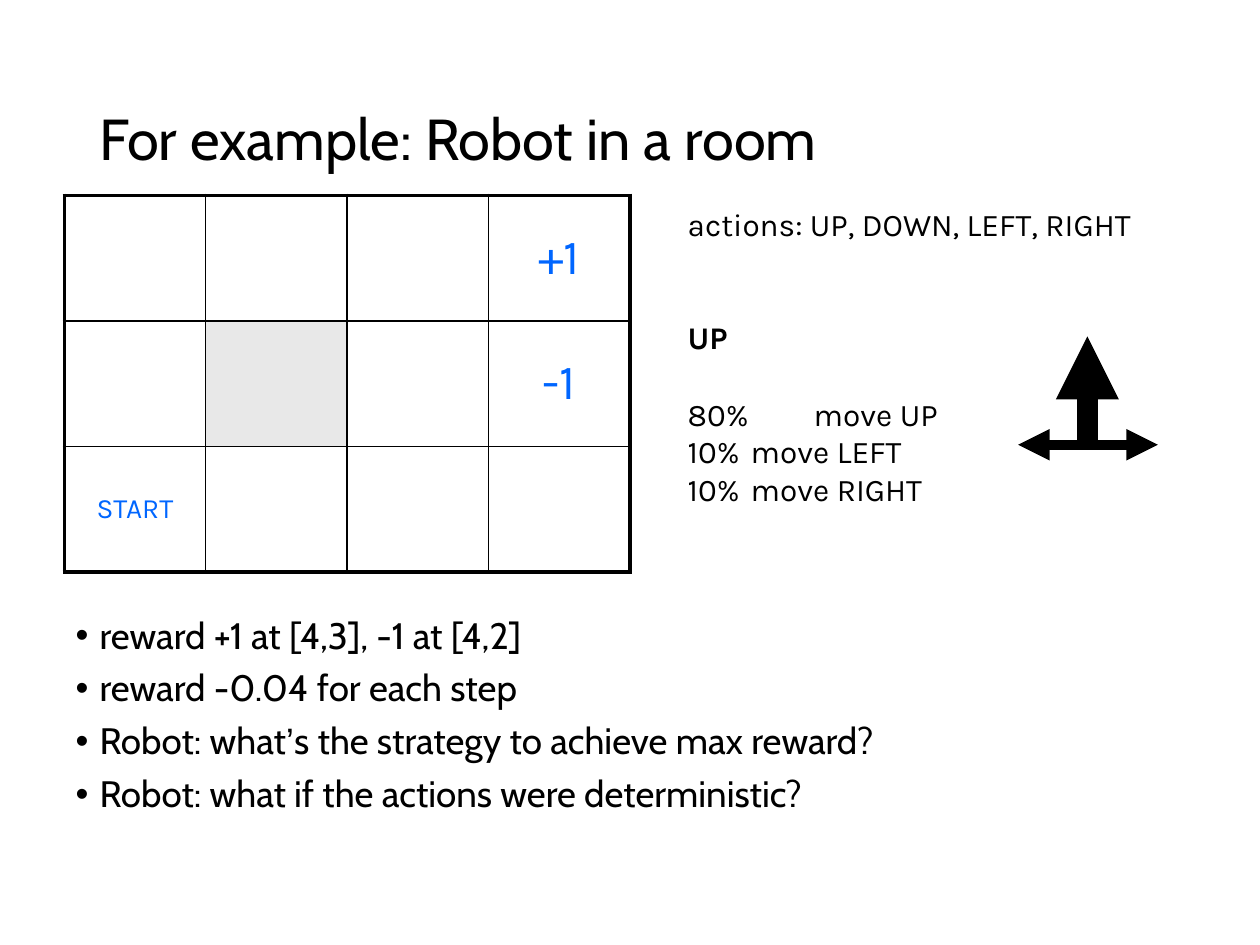
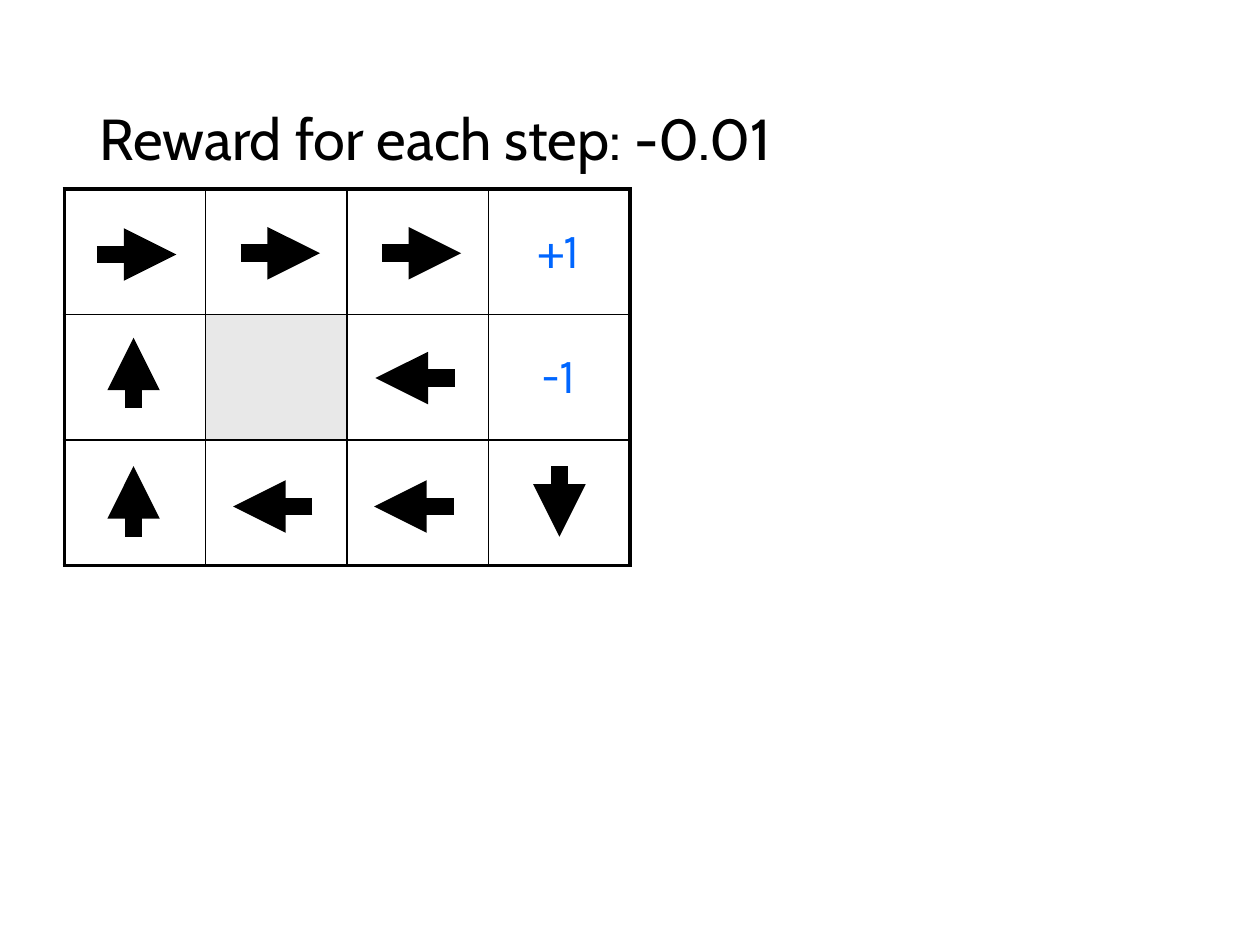
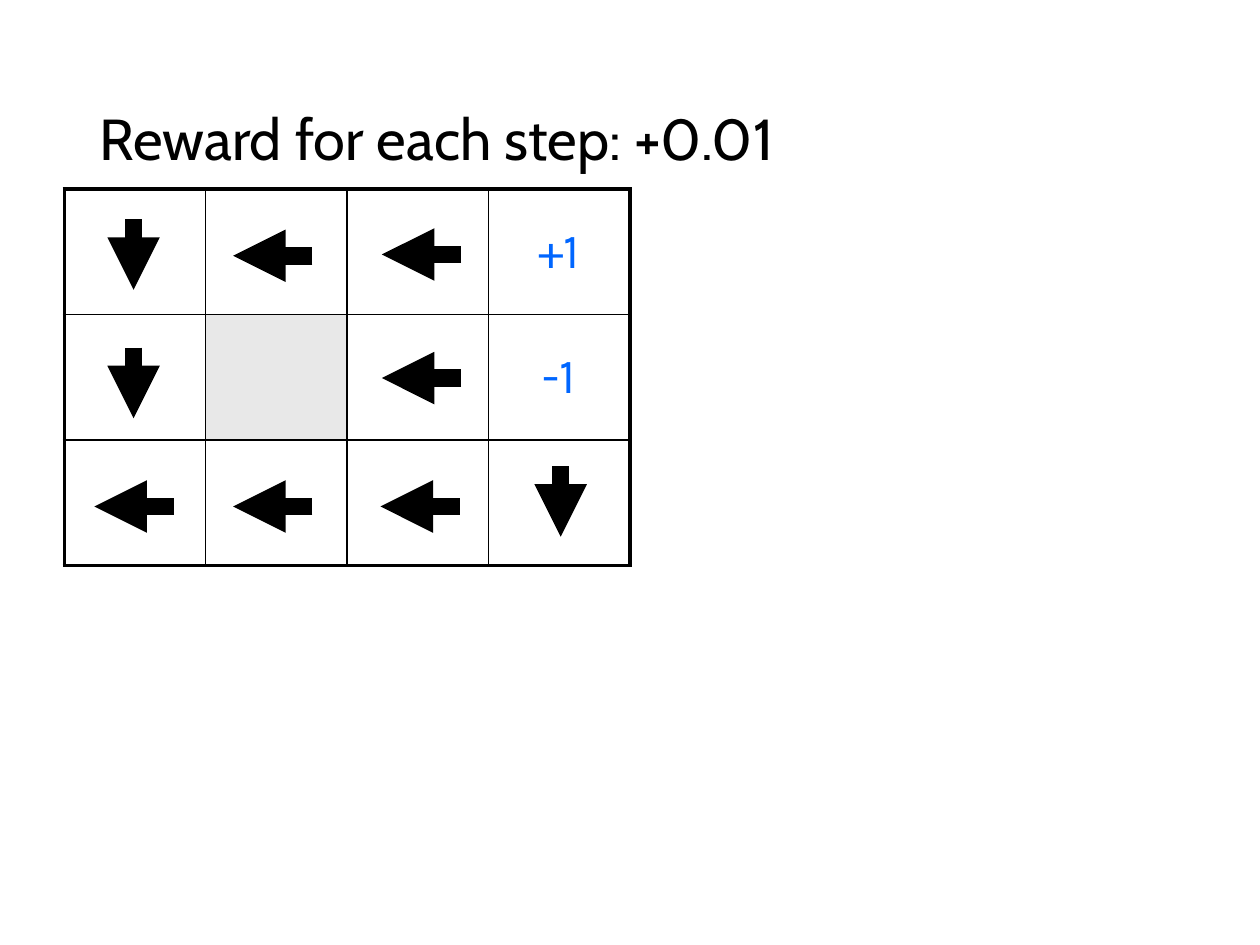
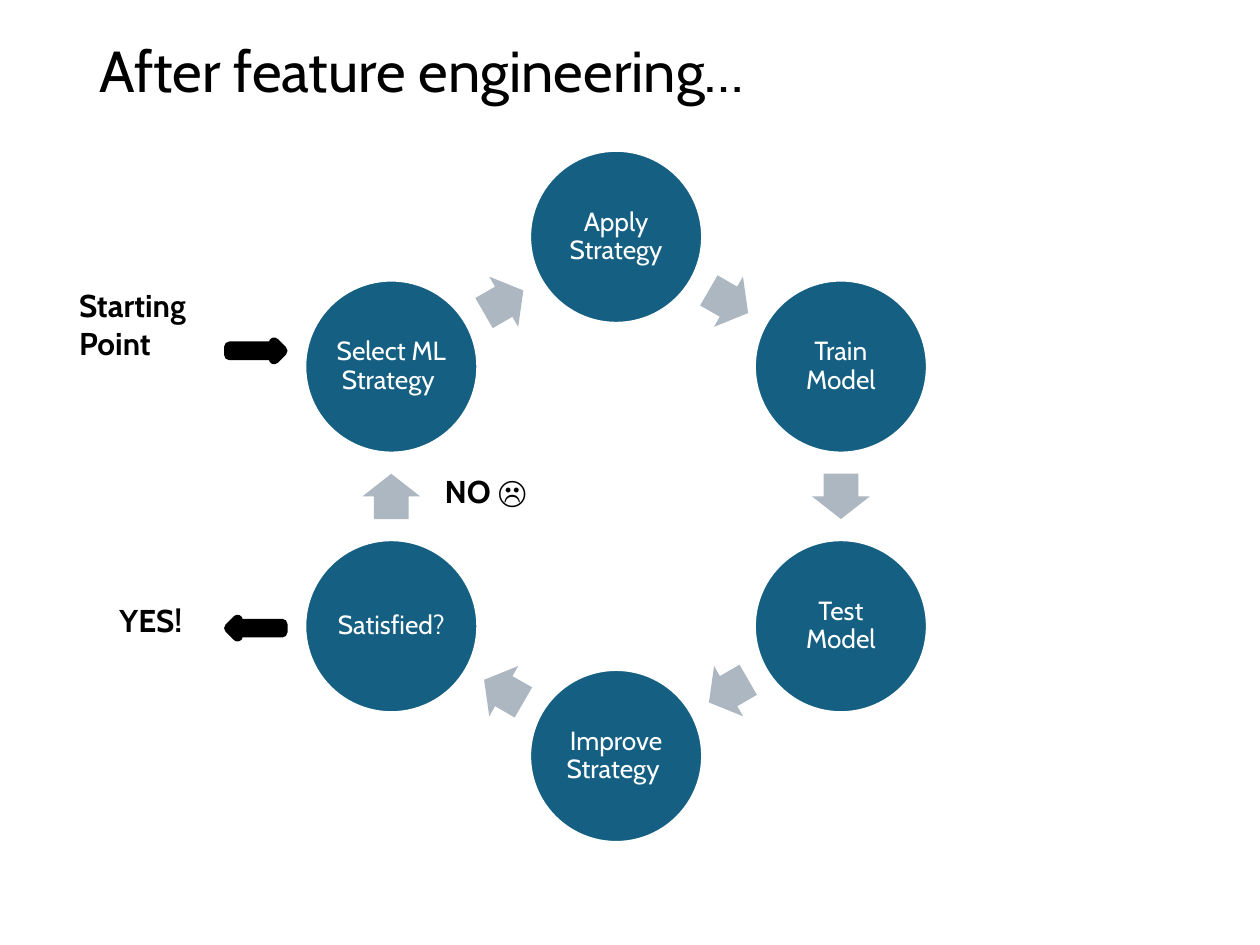
from dataclasses import dataclass
from math import cos, radians, sin

from pptx import Presentation
from pptx.dml.color import RGBColor
from pptx.enum.shapes import MSO_CONNECTOR, MSO_SHAPE
from pptx.enum.text import MSO_ANCHOR, MSO_AUTO_SIZE, PP_ALIGN
from pptx.oxml import parse_xml
from pptx.oxml.ns import nsdecls, qn
from pptx.presentation import Presentation as Deck
from pptx.shapes.shapetree import GroupShapes, SlideShapes
from pptx.slide import Slide
from pptx.table import Table, _Cell
from pptx.text.text import TextFrame, _Paragraph
from pptx.util import Inches, Pt

COLORS = {
    "ink": "000000",
    "paper": "FFFFFF",
    "value": "0066FF",
    "wall": "E8E8E8",
    "step": "156082",
    "flow": "ACB7C1",
}
TITLE_FONT = "Cabin"
NOTE_FONT = "Karla"
TITLE_AND_BODY, TITLE_ONLY = 1, 5

GRID_LEFT, GRID_WIDTH, GRID_HEIGHT = 0.51, 4.49, 2.99
COLUMNS, ROWS = 4, 3
WALL = (1, 1)
THIN, THICK = 1, 2.25
REWARDS = {(0, 3): "+1", (1, 3): "-1"}

MOVES = {
    "right": (0.63, 0),
    "left": (-0.63, 0),
    "up": (0, -0.56),
    "down": (0, 0.56),
}

CYCLE_X, CYCLE_Y, CYCLE_RADIUS = 4.89, 3.94, 2.06
CIRCLE_SIZE = 1.37
FLOW_WIDTH, FLOW_HEIGHT = 0.36, 0.46
STEPS = ["Apply Strategy", "Train Model", "Test Model",
         "Improve Strategy ", "Satisfied?", "Select ML Strategy "]


@dataclass(frozen=True)
class Arrow:
    x: float
    y: float
    dx: float
    dy: float
    weight: float = 10


@dataclass(frozen=True)
class Move:
    x: float
    y: float
    direction: str


@dataclass(frozen=True)
class Policy:
    title: str
    moves: list[Move]


@dataclass(frozen=True)
class Label:
    text: str
    left: float
    top: float
    width: float
    height: float


@dataclass(frozen=True)
class Note:
    text: str
    space_before: float = 0
    bold: bool = False


ROBOT_ARROWS = [
    Arrow(8.63, 3.53, 0, -0.86, 12),
    Arrow(8.63, 3.53, 0.56, 0, 6),
    Arrow(8.71, 3.53, -0.63, 0, 6),
]
ACTION_NOTES = [
    Note("actions: UP, DOWN, LEFT, RIGHT"),
    Note("UP", 43, True),
    Note("80% \tmove UP", 22),
    Note("10%\tmove LEFT"),
    Note("10%\tmove RIGHT"),
]
QUESTIONS = [
    [("reward +1 at [4,3], -1 at [4,2]", TITLE_FONT)],
    [("reward -0.04 for each step", TITLE_FONT)],
    [("Robot: what", TITLE_FONT), ("’", "Arial"),
     ("s the strategy to achieve max reward?", TITLE_FONT)],
    [("Robot: what if the actions were deterministic?", TITLE_FONT)],
]
POLICIES = [
    Policy("Reward for each step: -0.01", [
        Move(0.77, 2.02, "right"), Move(1.91, 2.01, "right"), Move(3.03, 2.01, "right"),
        Move(1.06, 3.24, "up"), Move(3.61, 3, "left"),
        Move(1.06, 4.26, "up"), Move(2.48, 4.02, "left"), Move(3.6, 4.02, "left"),
        Move(4.44, 3.7, "down"),
    ]),
    Policy("Reward for each step: +0.01", [
        Move(1.06, 1.74, "down"), Move(2.48, 2.03, "left"), Move(3.66, 2.02, "left"),
        Move(1.06, 2.76, "down"), Move(3.66, 3, "left"),
        Move(1.38, 4.02, "left"), Move(2.48, 4.02, "left"), Move(3.65, 4.02, "left"),
        Move(4.45, 3.7, "down"),
    ]),
]
CYCLE_LABELS = [
    Label("YES!", 0.85, 4.72, 0.97, 0.5),
    Label("NO ☹", 3.43, 3.7, 1.07, 0.5),
    Label("Starting Point", 0.53, 2.22, 1.43, 0.91),
]


def color(name: str) -> RGBColor:
    return RGBColor.from_string(COLORS[name])


def add_run(paragraph: _Paragraph, text: str, size: float, font: str = TITLE_FONT,
            ink: str = "ink", bold: bool = False) -> None:
    run = paragraph.add_run()
    run.text = text
    run.font.name = font
    run.font.size = Pt(size)
    run.font.bold = bold
    run.font.color.rgb = color(ink)


def next_paragraph(frame: TextFrame, index: int) -> _Paragraph:
    return frame.paragraphs[0] if index == 0 else frame.add_paragraph()


def add_titled_slide(presentation: Deck, title: str, layout: int = TITLE_ONLY,
                     top: float = 0.4) -> Slide:
    slide = presentation.slides.add_slide(presentation.slide_layouts[layout])
    shape = slide.shapes.title
    shape.left, shape.top = Inches(0.69), Inches(top)
    shape.width, shape.height = Inches(8.62), Inches(1.45)
    frame = shape.text_frame
    frame.auto_size = MSO_AUTO_SIZE.NONE
    frame.vertical_anchor = MSO_ANCHOR.MIDDLE
    paragraph = frame.paragraphs[0]
    paragraph.alignment = PP_ALIGN.LEFT
    paragraph.line_spacing = 0.9
    add_run(paragraph, title, 33)
    return slide


def add_text_frame(slide: Slide, left: float, top: float, width: float,
                   height: float) -> TextFrame:
    box = slide.shapes.add_textbox(Inches(left), Inches(top), Inches(width), Inches(height))
    box.text_frame.word_wrap = True
    return box.text_frame


def add_arrow(shapes: SlideShapes | GroupShapes, arrow: Arrow) -> None:
    connector = shapes.add_connector(
        MSO_CONNECTOR.STRAIGHT, Inches(arrow.x), Inches(arrow.y),
        Inches(arrow.x + arrow.dx), Inches(arrow.y + arrow.dy))
    connector.line.width = Pt(arrow.weight)
    connector.line.color.rgb = color("ink")
    properties = connector._element.spPr
    properties.find(qn("a:ln")).append(
        parse_xml(f'<a:tailEnd {nsdecls("a")} type="triangle"/>'))
    properties.append(parse_xml(f'<a:effectLst {nsdecls("a")}/>'))


def set_borders(cell: _Cell, row: int, column: int) -> None:
    outer_edges = {"L": column == 0, "R": column == COLUMNS - 1,
                   "T": row == 0, "B": row == ROWS - 1}
    properties = cell._tc.get_or_add_tcPr()
    for side, is_outer in outer_edges.items():
        width = Pt(THICK if is_outer else THIN)
        properties.append(parse_xml(
            f'<a:ln{side} {nsdecls("a")} w="{width}"><a:solidFill>'
            f'<a:srgbClr val="{COLORS["ink"]}"/></a:solidFill></a:ln{side}>'))


def write_cell(table: Table, row: int, column: int, text: str, size: float) -> None:
    cell = table.cell(row, column)
    cell.vertical_anchor = MSO_ANCHOR.MIDDLE
    paragraph = cell.text_frame.paragraphs[0]
    paragraph.alignment = PP_ALIGN.CENTER
    add_run(paragraph, text, size, NOTE_FONT, "value")


def add_room(slide: Slide, top: float) -> Table:
    table = slide.shapes.add_table(
        ROWS, COLUMNS, Inches(GRID_LEFT), Inches(top),
        Inches(GRID_WIDTH), Inches(GRID_HEIGHT)).table
    table.first_row = False
    table.horz_banding = False
    for row in range(ROWS):
        for column in range(COLUMNS):
            cell = table.cell(row, column)
            set_borders(cell, row, column)
            if (row, column) == WALL:
                cell.fill.solid()
                cell.fill.fore_color.rgb = color("wall")
            else:
                cell.fill.background()
    for (row, column), reward in REWARDS.items():
        write_cell(table, row, column, reward, 28)
    return table


def fill_questions(slide: Slide) -> None:
    body = slide.placeholders[1]
    body.left, body.top = Inches(0.5), Inches(4.85)
    body.width, body.height = Inches(9), Inches(2.65)
    body.text_frame.auto_size = MSO_AUTO_SIZE.NONE
    for index, runs in enumerate(QUESTIONS):
        paragraph = next_paragraph(body.text_frame, index)
        properties = paragraph._p.get_or_add_pPr()
        properties.set("marL", str(Inches(0.19)))
        properties.set("indent", str(Inches(-0.19)))
        properties.append(parse_xml(f'<a:buChar {nsdecls("a")} char="•"/>'))
        paragraph.line_spacing = 0.9
        paragraph.space_before = Pt(7.5 if index else 0)
        for text, font in runs:
            add_run(paragraph, text, 21, font)


def add_action_notes(slide: Slide) -> None:
    frame = add_text_frame(slide, 5.36, 1.58, 4.22, 2.5)
    for index, note in enumerate(ACTION_NOTES):
        paragraph = next_paragraph(frame, index)
        paragraph._p.get_or_add_pPr().append(parse_xml(
            f'<a:tabLst {nsdecls("a")}><a:tab pos="{Inches(0.5)}" algn="l"/>'
            f'<a:tab pos="{Inches(1)}" algn="l"/></a:tabLst>'))
        paragraph.space_before = Pt(note.space_before)
        add_run(paragraph, note.text, 18, NOTE_FONT, bold=note.bold)


def build_robot_slide(presentation: Deck) -> None:
    slide = add_titled_slide(presentation, "For example: Robot in a room", TITLE_AND_BODY)
    fill_questions(slide)
    table = add_room(slide, 1.55)
    write_cell(table, 2, 0, "START", 16)
    compass = slide.shapes.add_group_shape()
    for arrow in ROBOT_ARROWS:
        add_arrow(compass.shapes, arrow)
    add_action_notes(slide)


def build_policy_slide(presentation: Deck, policy: Policy) -> None:
    slide = add_titled_slide(presentation, policy.title)
    add_room(slide, 1.5)
    for move in policy.moves:
        add_arrow(slide.shapes, Arrow(move.x, move.y, *MOVES[move.direction]))


def cycle_point(angle: float, radius: float) -> tuple[float, float]:
    return (CYCLE_X + radius * sin(radians(angle)),
            CYCLE_Y - radius * cos(radians(angle)))


def add_step(slide: Slide, text: str, angle: float) -> None:
    x, y = cycle_point(angle, CYCLE_RADIUS)
    circle = slide.shapes.add_shape(
        MSO_SHAPE.OVAL, Inches(x - CIRCLE_SIZE / 2), Inches(y - CIRCLE_SIZE / 2),
        Inches(CIRCLE_SIZE), Inches(CIRCLE_SIZE))
    circle.shadow.inherit = False
    circle.fill.solid()
    circle.fill.fore_color.rgb = color("step")
    circle.line.color.rgb = color("paper")
    circle.line.width = Pt(1.5)
    frame = circle.text_frame
    frame.word_wrap = True
    frame.vertical_anchor = MSO_ANCHOR.MIDDLE
    frame.margin_left = frame.margin_right = Inches(0.02)
    frame.margin_top = frame.margin_bottom = Inches(0.02)
    paragraph = frame.paragraphs[0]
    paragraph.alignment = PP_ALIGN.CENTER
    paragraph.line_spacing = 0.9
    add_run(paragraph, text, 15, ink="paper")


def add_flow_arrow(slide: Slide, angle: float) -> None:
    x, y = cycle_point(angle, CYCLE_RADIUS * cos(radians(30)))
    arrow = slide.shapes.add_shape(
        MSO_SHAPE.RIGHT_ARROW, Inches(x - FLOW_WIDTH / 2), Inches(y - FLOW_HEIGHT / 2),
        Inches(FLOW_WIDTH), Inches(FLOW_HEIGHT))
    arrow.adjustments[0] = 0.6
    arrow.adjustments[1] = 0.5
    arrow.rotation = angle
    arrow.shadow.inherit = False
    arrow.fill.solid()
    arrow.fill.fore_color.rgb = color("flow")
    arrow.line.fill.background()


def add_gate_arrow(slide: Slide, top: float, rotation: float) -> None:
    arrow = slide.shapes.add_shape(
        MSO_SHAPE.RIGHT_ARROW, Inches(1.82), Inches(top), Inches(0.42), Inches(0.13))
    arrow.rotation = rotation
    arrow.shadow.inherit = False
    arrow.fill.solid()
    arrow.fill.fore_color.rgb = color("step")
    arrow.line.color.rgb = color("ink")
    arrow.line.width = Pt(6)


def build_cycle_slide(presentation: Deck) -> None:
    slide = add_titled_slide(presentation, "After feature engineering…", top=-0.14)
    turn = 360 / len(STEPS)
    for index, step in enumerate(STEPS):
        add_step(slide, step, index * turn)
        add_flow_arrow(slide, (index + 0.5) * turn)
    add_gate_arrow(slide, 4.92, 180)
    add_gate_arrow(slide, 2.72, 0)
    for label in CYCLE_LABELS:
        frame = add_text_frame(slide, label.left, label.top, label.width, label.height)
        add_run(frame.paragraphs[0], label.text, 18, bold=True)


def main() -> None:
    presentation = Presentation()
    presentation.slide_width = Inches(10)
    presentation.slide_height = Inches(7.5)
    build_robot_slide(presentation)
    for policy in POLICIES:
        build_policy_slide(presentation, policy)
    build_cycle_slide(presentation)
    presentation.save("out.pptx")


if __name__ == "__main__":
    main()
